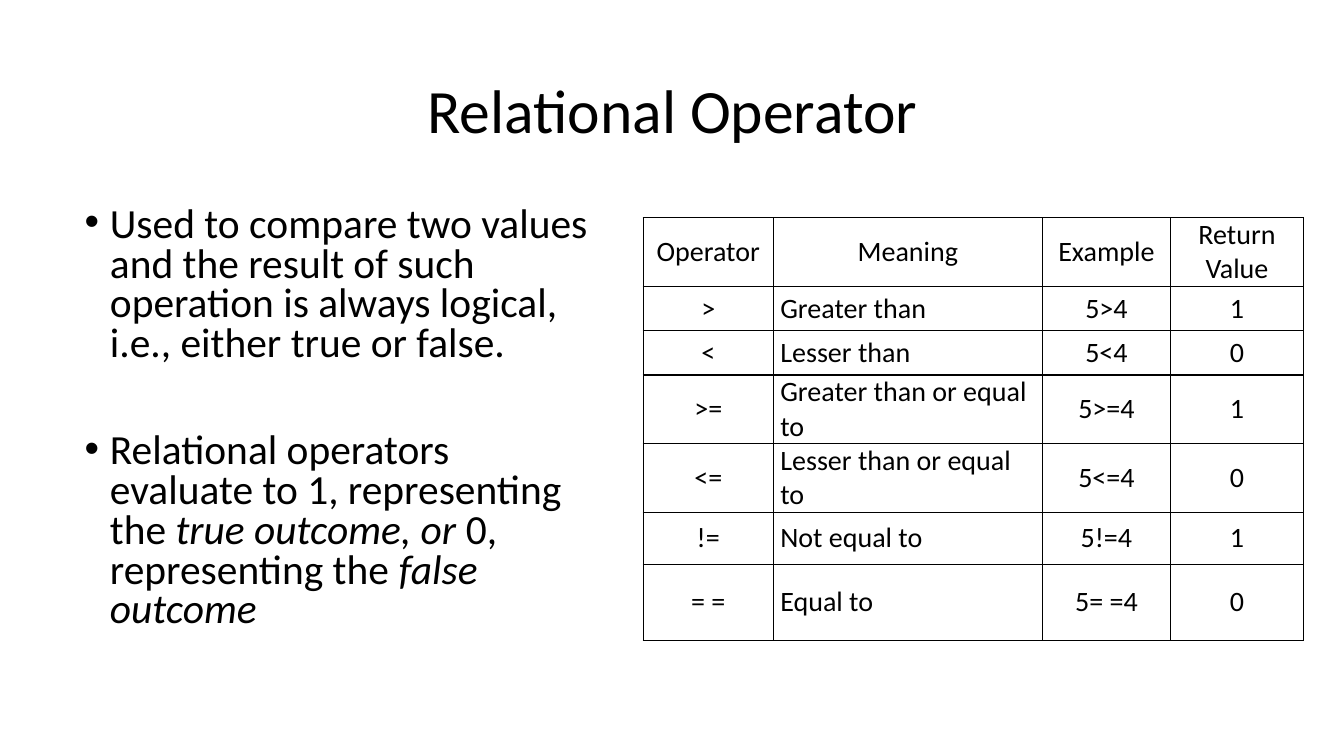
from dataclasses import dataclass

from lxml import etree
from pptx import Presentation, util as u
from pptx.dml.color import RGBColor
from pptx.enum import text as t
from pptx.oxml import ns

BLACK = RGBColor(0x00, 0x00, 0x00)
FONT = "Calibri"
COLS = (1.29, 2.67, 1.27, 1.32)
ROWS = (0.64, 0.44, 0.44, 0.56, 0.56, 0.52, 0.75)
HEADS = ("Operator", "Meaning", "Example", "Return Value")


@dataclass
class Span:
    text: str
    slant: bool = False


@dataclass
class Point:
    gap: float
    spans: list[Span]


@dataclass
class Rule:
    sign: str
    sense: str
    case: str
    value: str


POINTS = [
    Point(10, [Span("Used to compare two values and the result of such "
                    "operation is always logical, i.e., either true or false.")]),
    Point(48, [Span("Relational operators evaluate to 1, representing the "),
               Span("true outcome, or ", True),
               Span("0, representing the "),
               Span("false outcome", True)]),
]
RULES = [
    Rule(">", "Greater than", "5>4", "1"),
    Rule("<", "Lesser than", "5<4", "0"),
    Rule(">=", "Greater than or equal to", "5>=4", "1"),
    Rule("<=", "Lesser than or equal to", "5<=4", "0"),
    Rule("!=", "Not equal to", "5!=4", "1"),
    Rule("= =", "Equal to", "5= =4", "0"),
]


def place(shape, left: float, top: float, width: float, height: float) -> None:
    shape.left, shape.top = u.Inches(left), u.Inches(top)
    shape.width, shape.height = u.Inches(width), u.Inches(height)


def style(run, size: float, slant: bool = False) -> None:
    font = run.font
    font.name, font.size, font.italic = FONT, u.Pt(size), slant
    font.color.rgb = BLACK


def add_title(slide) -> None:
    title = slide.shapes.title
    place(title, 0.92, 0.4, 11.5, 1.45)
    frame = title.text_frame
    frame.text = "Relational Operator"
    frame.auto_size = t.MSO_AUTO_SIZE.NONE
    frame.vertical_anchor = t.MSO_ANCHOR.MIDDLE
    para = frame.paragraphs[0]
    para.alignment = t.PP_ALIGN.CENTER
    para.line_spacing = 0.9
    style(para.runs[0], 44)


def set_bullet(para) -> None:
    props = para._p.get_or_add_pPr()
    props.set("marL", str(u.Inches(0.25)))
    props.set("indent", str(u.Inches(-0.25)))
    etree.SubElement(props, ns.qn("a:buFont"), typeface="Arial")
    etree.SubElement(props, ns.qn("a:buChar"), char="•")


def add_points(slide) -> None:
    body = slide.placeholders[1]
    place(body, 0.74, 2, 5.28, 4.76)
    frame = body.text_frame
    frame.auto_size = t.MSO_AUTO_SIZE.NONE
    for i, point in enumerate(POINTS):
        para = frame.add_paragraph() if i else frame.paragraphs[0]
        para.line_spacing = 0.8
        para.space_before = u.Pt(point.gap)
        set_bullet(para)
        for span in point.spans:
            run = para.add_run()
            run.text = span.text
            style(run, 29.6, span.slant)


def set_edges(cell) -> None:
    props = cell._tc.get_or_add_tcPr()
    for side in ("lnL", "lnR", "lnT", "lnB"):
        line = etree.SubElement(props, ns.qn(f"a:{side}"), w=str(u.Pt(1)))
        fill = etree.SubElement(line, ns.qn("a:solidFill"))
        etree.SubElement(fill, ns.qn("a:srgbClr"), val=str(BLACK))


def fill_cell(cell, words: str, center: bool) -> None:
    cell.text_frame.text = words
    cell.vertical_anchor = t.MSO_ANCHOR.MIDDLE
    cell.margin_left = cell.margin_right = u.Inches(0.07)
    cell.margin_top = cell.margin_bottom = 0
    set_edges(cell)
    cell.fill.background()
    para = cell.text_frame.paragraphs[0]
    para.alignment = t.PP_ALIGN.CENTER if center else t.PP_ALIGN.LEFT
    style(para.runs[0], 20)


def add_rules(slide) -> None:
    frame = slide.shapes.add_table(
        len(ROWS), len(COLS), u.Inches(6.38), u.Inches(2.16),
        u.Inches(sum(COLS)), u.Inches(sum(ROWS)))
    table = frame.table
    table.first_row = table.horz_banding = False
    for col, width in zip(table.columns, COLS):
        col.width = u.Inches(width)
    for row, height in zip(table.rows, ROWS):
        row.height = u.Inches(height)
    lines = [HEADS] + [(r.sign, r.sense, r.case, r.value) for r in RULES]
    for i, line in enumerate(lines):
        for j, words in enumerate(line):
            fill_cell(table.cell(i, j), words, center=i == 0 or j != 1)


def main() -> None:
    deck = Presentation()
    deck.slide_width, deck.slide_height = u.Inches(13.33), u.Inches(7.5)
    slide = deck.slides.add_slide(deck.slide_layouts[1])
    add_title(slide)
    add_points(slide)
    add_rules(slide)
    deck.save("out.pptx")


if __name__ == "__main__":
    main()
